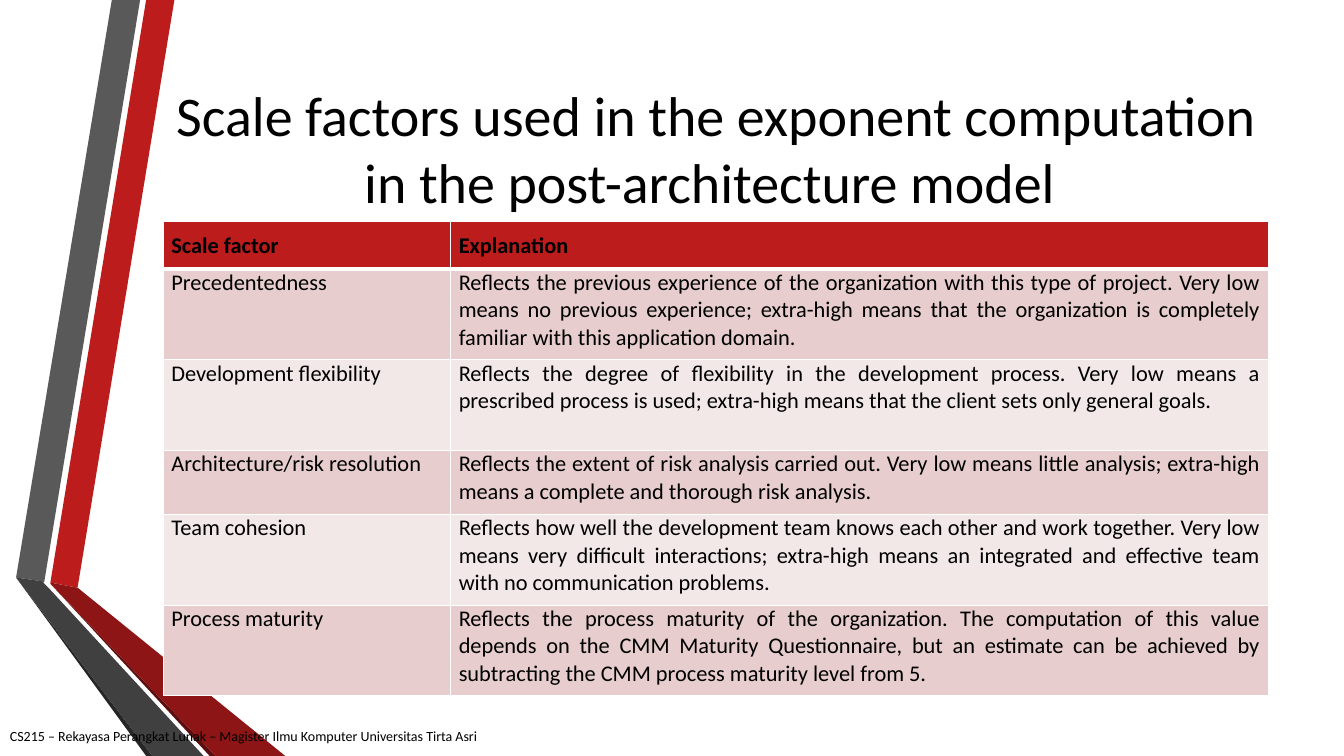
from dataclasses import dataclass

from lxml import etree
from pptx import Presentation
from pptx import util as u
from pptx.dml.color import RGBColor
from pptx.enum import text
from pptx.oxml import ns

PX = 9144  # EMU in one px, at 100 px to the inch
SLIDE_WIDTH, SLIDE_HEIGHT = 1333, 750


@dataclass(frozen=True)
class Theme:
    font: str = "Calibri"
    ink: str = "000000"
    rule: str = "FFFFFF"
    header: str = "BC1C1C"
    bands: tuple = ("E7CDCD", "F3E8E8")
    red: str = "BC1C1C"
    red_fold: str = "8D1515"
    red_edge: str = "5E0E0E"
    grey: str = "595959"
    grey_fold: str = "404040"
    grey_edge: str = "262626"
    title_size: int = 40
    table_size: int = 16
    footer_size: int = 10


THEME = Theme()

RIBBONS = [
    (THEME.red, [(50, 578), (77, 583), (173, 0), (145, 0)]),
    (THEME.grey, [(139, 0), (111, 0), (16, 573), (44, 577)]),
    (THEME.grey_edge, [(16, 573), (145, 750), (151, 750)]),
    (THEME.red_edge, [(50, 579), (208, 750), (214, 750)]),
    (THEME.red_fold, [(50, 578), (50, 579), (214, 750), (283, 750), (77, 583)]),
    (THEME.grey_fold, [(202, 750), (48, 583), (43, 578), (44, 577), (16, 573), (151, 750)]),
]

TITLE = "Scale factors used in the exponent computation in the post-architecture model "
FOOTER = "CS215 – Rekayasa Perangkat Lunak – Magister Ilmu Komputer Universitas Tirta Asri"

COLUMN_WIDTHS = [285, 811]
ROW_HEIGHTS = [47, 90, 90, 63, 90, 90]
ROWS = [
    ("Scale factor", "Explanation"),
    ("Precedentedness",
     "Reflects the previous experience of the organization with this type of project. "
     "Very low means no previous experience; extra-high means that the organization is "
     "completely familiar with this application domain."),
    ("Development flexibility",
     "Reflects the degree of flexibility in the development process. Very low means a "
     "prescribed process is used; extra-high means that the client sets only general goals."),
    ("Architecture/risk resolution",
     "Reflects the extent of risk analysis carried out. Very low means little analysis; "
     "extra-high means a complete and thorough risk analysis."),
    ("Team cohesion",
     "Reflects how well the development team knows each other and work together. Very low "
     "means very difficult interactions; extra-high means an integrated and effective team "
     "with no communication problems."),
    ("Process maturity",
     "Reflects the process maturity of the organization. The computation of this value "
     "depends on the CMM Maturity Questionnaire, but an estimate can be achieved by "
     "subtracting the CMM process maturity level from 5."),
]


def emu(*lengths):
    return [u.Emu(length * PX) for length in lengths]


def set_font(paragraph, size, bold=False):
    paragraph.font.name = THEME.font
    paragraph.font.size = u.Pt(size)
    paragraph.font.bold = bold
    paragraph.font.color.rgb = RGBColor.from_string(THEME.ink)


def add_ribbons(slide, left, top):
    """Draw the two folded ribbons with their corner at left, top."""
    group = slide.shapes.add_group_shape()
    for color, points in RIBBONS:
        start, *others = [(left + x, top + y) for x, y in points]
        builder = group.shapes.build_freeform(*start, scale=PX)
        builder.add_line_segments(others, close=True)
        ribbon = builder.convert_to_shape()
        ribbon.shadow.inherit = False
        ribbon.fill.solid()
        ribbon.fill.fore_color.rgb = RGBColor.from_string(color)
        ribbon.line.fill.background()


def add_text(slide, box, words, size, align, anchor):
    frame = slide.shapes.add_textbox(*emu(*box)).text_frame
    frame.word_wrap = True
    frame.vertical_anchor = anchor
    paragraph = frame.paragraphs[0]
    paragraph.text = words
    paragraph.alignment = align
    set_font(paragraph, size)


def set_borders(cell, bottom_width):
    properties = cell._tc.get_or_add_tcPr()
    for side, width in (("L", 1), ("R", 1), ("T", 1), ("B", bottom_width)):
        line = etree.SubElement(properties, ns.qn(f"a:ln{side}"), w=str(u.Pt(width)))
        fill = etree.SubElement(line, ns.qn("a:solidFill"))
        etree.SubElement(fill, ns.qn("a:srgbClr"), val=THEME.rule)


def fill_cell(cell, words, is_header, color):
    set_borders(cell, 3 if is_header else 1)
    cell.fill.solid()
    cell.fill.fore_color.rgb = RGBColor.from_string(color)
    cell.margin_left, cell.margin_right = emu(8, 8)
    cell.margin_top, cell.margin_bottom = emu(10 if is_header else 0, 10)
    paragraph = cell.text_frame.paragraphs[0]
    paragraph.text = words
    paragraph.alignment = text.PP_ALIGN.JUSTIFY
    set_font(paragraph, THEME.table_size, bold=is_header)


def add_factor_table(slide, left, top):
    box = emu(left, top, sum(COLUMN_WIDTHS), sum(ROW_HEIGHTS))
    table = slide.shapes.add_table(len(ROWS), len(COLUMN_WIDTHS), *box).table
    for column, width in zip(table.columns, emu(*COLUMN_WIDTHS)):
        column.width = width
    for row, height in zip(table.rows, emu(*ROW_HEIGHTS)):
        row.height = height
    for index, row_words in enumerate(ROWS):
        is_header = index == 0
        color = THEME.header if is_header else THEME.bands[(index - 1) % 2]
        for column_index, words in enumerate(row_words):
            fill_cell(table.cell(index, column_index), words, is_header, color)


def build_slide(presentation):
    slide = presentation.slides.add_slide(presentation.slide_layouts[6])
    add_ribbons(slide, 0, 0)
    add_text(slide, (162, 75, 1096, 192), TITLE, THEME.title_size,
             text.PP_ALIGN.CENTER, text.MSO_ANCHOR.TOP)
    add_factor_table(slide, 162, 220)
    add_text(slide, (0, 710, 775, 40), FOOTER, THEME.footer_size,
             text.PP_ALIGN.LEFT, text.MSO_ANCHOR.MIDDLE)


def main():
    presentation = Presentation()
    presentation.slide_width, presentation.slide_height = emu(SLIDE_WIDTH, SLIDE_HEIGHT)
    build_slide(presentation)
    presentation.save("out.pptx")


if __name__ == "__main__":
    main()
